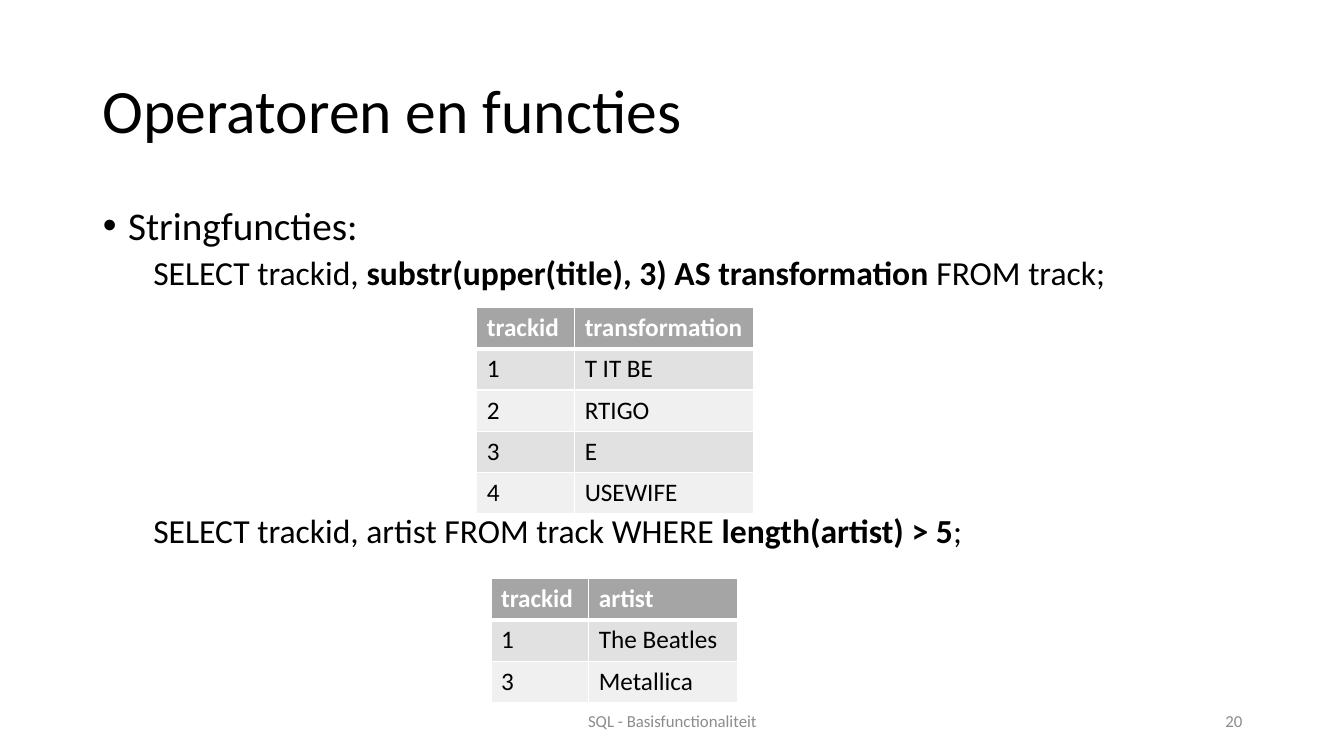
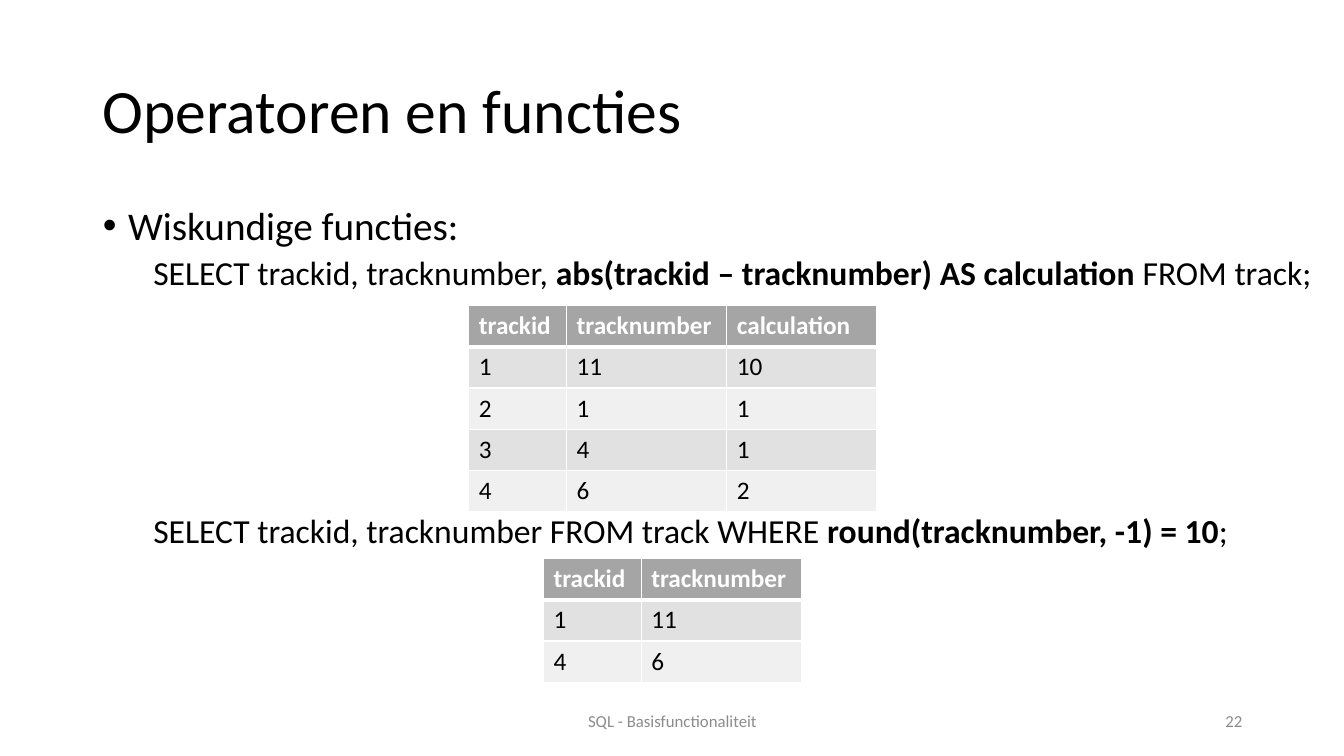
import pptx
import pptx.util
import pptx.dml.color
import pptx.enum.text
import pptx.oxml
import pptx.oxml.ns
from pptx.util import Inches

RGBColor = pptx.dml.color.RGBColor
PP_ALIGN = pptx.enum.text.PP_ALIGN
MSO_ANCHOR = pptx.enum.text.MSO_ANCHOR
BLACK = RGBColor(0x00, 0x00, 0x00)
WHITE = RGBColor(0xFF, 0xFF, 0xFF)
GRAY = RGBColor(0x8C, 0x8C, 0x8C)
HEADER = RGBColor(0xA5, 0xA5, 0xA5)
BANDS = (RGBColor(0xF0, 0xF0, 0xF0), RGBColor(0xE1, 0xE1, 0xE1))
FONT = "Calibri"
TITLE = "Operatoren en functies"
FOOTER = "SQL - Basisfunctionaliteit"
ROW_HEIGHT = 0.41
TRACKID, NUMBER, WORD, LONG_WORD = 0.97, 1.59, 1.48, 1.77
QUERY_GAP = 159

SLIDES = [
    {
        "number": "20",
        "topic": "Stringfuncties:",
        "body_width": 11.74,
        "queries": [
            ("SELECT trackid, ", "substr(upper(title), 3) AS transformation", " FROM track;"),
            ("SELECT trackid, artist FROM track WHERE ", "length(artist) > 5", ";"),
        ],
        "tables": [
            (4.73, 3.05, (TRACKID, LONG_WORD), [
                ("trackid", "transformation"),
                ("1", "T IT BE"), ("2", "RTIGO"), ("3", "E"), ("4", "USEWIFE")]),
            (4.87, 5.74, (TRACKID, WORD), [
                ("trackid", "artist"), ("1", "The Beatles"), ("3", "Metallica")]),
        ],
    },
    {
        "number": "22",
        "topic": "Wiskundige functies:",
        "body_width": 12.4,
        "queries": [
            ("SELECT trackid, tracknumber, ",
             "abs(trackid – tracknumber) AS calculation ", "FROM track;"),
            ("SELECT trackid, tracknumber FROM track WHERE ", "round(tracknumber, -1) = 10", ";"),
        ],
        "tables": [
            (4.65, 3.03, (TRACKID, NUMBER, WORD), [
                ("trackid", "tracknumber", "calculation"),
                ("1", "11", "10"), ("2", "1", "1"), ("3", "4", "1"), ("4", "6", "2")]),
            (5.39, 5.54, (TRACKID, NUMBER), [
                ("trackid", "tracknumber"), ("1", "11"), ("4", "6")]),
        ],
    },
]


def place(shape, x, y, w, h):
    shape.left, shape.top, shape.width, shape.height = map(Inches, (x, y, w, h))


def add_run(p, text, size, color=BLACK, bold=False):
    r = p.add_run()
    r.text = text
    r.font.name = FONT
    r.font.size = pptx.util.Pt(size)
    r.font.bold = bold
    r.font.color.rgb = color


def format_item(p, space, left, indent, bullet):
    p.line_spacing = 0.9
    p.space_before = pptx.util.Pt(space)
    pPr = p._p.get_or_add_pPr()
    pPr.set("marL", str(Inches(left)))
    pPr.set("indent", str(Inches(indent)))
    if bullet:
        etree_bullet = pptx.oxml.ns.qn("a:buChar")
        pPr.append(pPr.makeelement(etree_bullet, {"char": bullet}))
    else:
        pPr.append(pPr.makeelement(pptx.oxml.ns.qn("a:buNone"), {}))


def add_title(s, x, y, w, h):
    sp = s.shapes.title
    place(sp, x, y, w, h)
    tf = sp.text_frame
    tf.auto_size = pptx.enum.text.MSO_AUTO_SIZE.NONE
    tf.vertical_anchor = MSO_ANCHOR.MIDDLE
    p = tf.paragraphs[0]
    p.alignment = PP_ALIGN.LEFT
    p.line_spacing = 0.9
    add_run(p, TITLE, 44)


def add_body(s, topic, queries, x, y, w, h):
    sp = s.placeholders[1]
    place(sp, x, y, w, h)
    tf = sp.text_frame
    tf.auto_size = pptx.enum.text.MSO_AUTO_SIZE.NONE
    p = tf.paragraphs[0]
    format_item(p, 10, 0.25, -0.25, "•")
    add_run(p, topic, 28)
    for query, space in zip(queries, (5, QUERY_GAP)):
        p = tf.add_paragraph()
        p.level = 1
        format_item(p, space, 0.5, 0, None)
        for i, part in enumerate(query):
            add_run(p, part, 24, bold=i == 1)


def set_borders(cell, top, bottom):
    tcPr = cell._tc.get_or_add_tcPr()
    for i, (side, width) in enumerate((("L", 1), ("R", 1), ("T", top), ("B", bottom))):
        ln = pptx.oxml.parse_xml(
            f'<a:ln{side} {pptx.oxml.ns.nsdecls("a")} w="{pptx.util.Pt(width)}">'
            f'<a:solidFill><a:srgbClr val="{WHITE}"/></a:solidFill></a:ln{side}>')
        tcPr.insert(i, ln)


def add_result(s, x, y, widths, rows):
    frame = s.shapes.add_table(len(rows), len(widths), Inches(x), Inches(y),
                               Inches(sum(widths)), Inches(ROW_HEIGHT * len(rows)))
    table = frame.table
    for column, width in zip(table.columns, widths):
        column.width = Inches(width)
    for i, row in enumerate(rows):
        table.rows[i].height = Inches(ROW_HEIGHT)
        head = i == 0
        for j, text in enumerate(row):
            cell = table.cell(i, j)
            cell.fill.solid()
            cell.fill.fore_color.rgb = HEADER if head else BANDS[i % 2]
            set_borders(cell, 3 if i == 1 else 1, 3 if head else 1)
            add_run(cell.text_frame.paragraphs[0], text, 18, WHITE if head else BLACK, head)


def add_footer(s, text, align, x, y, w, h):
    sp = s.shapes.add_textbox(*map(Inches, (x, y, w, h)))
    tf = sp.text_frame
    tf.word_wrap = True
    tf.vertical_anchor = MSO_ANCHOR.MIDDLE
    p = tf.paragraphs[0]
    p.alignment = align
    add_run(p, text, 12, GRAY)


def add_query_slide(prs, data):
    s = prs.slides.add_slide(prs.slide_layouts[1])
    add_title(s, 0.92, 0.4, 11.5, 1.45)
    add_body(s, data["topic"], data["queries"], 0.92, 2, data["body_width"], 5.39)
    for result in data["tables"]:
        add_result(s, *result)
    add_footer(s, FOOTER, PP_ALIGN.CENTER, 4.42, 6.95, 4.5, 0.4)
    add_footer(s, data["number"], PP_ALIGN.RIGHT, 9.42, 6.95, 3, 0.4)


def main():
    prs = pptx.Presentation()
    prs.slide_width, prs.slide_height = Inches(13.33), Inches(7.5)
    for data in SLIDES:
        add_query_slide(prs, data)
    prs.save("out.pptx")


if __name__ == "__main__":
    main()
